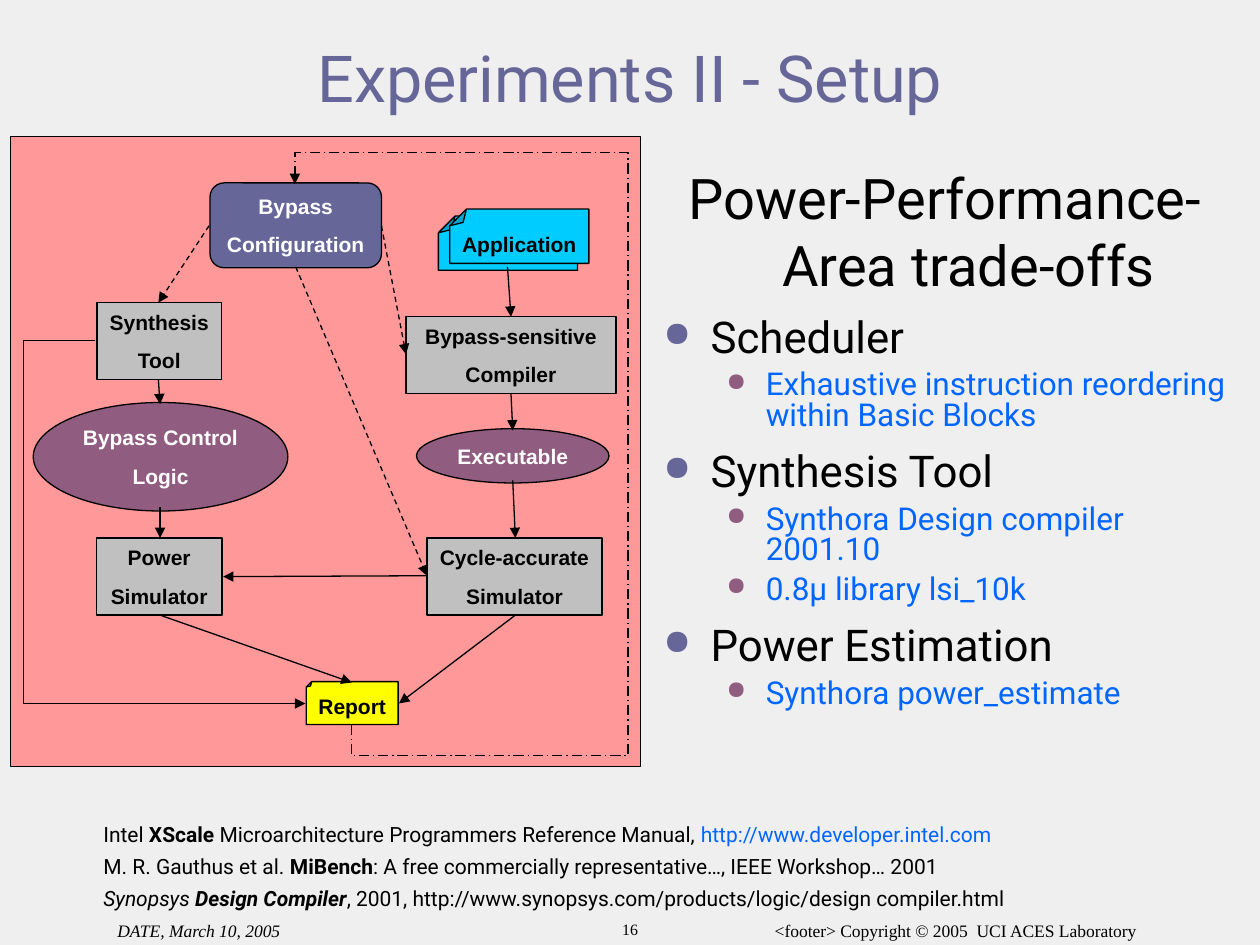
from lxml import etree
from pptx import Presentation
from pptx.dml.color import RGBColor
from pptx.enum.dml import MSO_LINE
from pptx.enum.shapes import MSO_CONNECTOR, MSO_SHAPE
from pptx.enum.text import MSO_ANCHOR, PP_ALIGN
from pptx.oxml.ns import qn
from pptx.util import Pt

RECT, ROUND, OVAL, NOTE = (MSO_SHAPE.RECTANGLE, MSO_SHAPE.ROUNDED_RECTANGLE,
                           MSO_SHAPE.OVAL, MSO_SHAPE.FOLDED_CORNER)
STRAIGHT, ELBOW = MSO_CONNECTOR.STRAIGHT, MSO_CONNECTOR.ELBOW
DASH, DASH_DOT = MSO_LINE.DASH, MSO_LINE.LONG_DASH_DOT
LEFT, CENTER, MIDDLE = PP_ALIGN.LEFT, PP_ALIGN.CENTER, MSO_ANCHOR.MIDDLE

C = {"bg": "EFEFEF", "black": "000000", "white": "FFFFFF", "slate": "666699",
     "blue": "0066FF", "plum": "905C80", "pink": "FF9999", "gray": "C0C0C0",
     "cyan": "00CCFF", "yellow": "FFFF00"}
C = {name: RGBColor.from_string(value) for name, value in C.items()}


def write(tf, text, size=12, font="Roboto", color="black", bold=False, italic=False,
          align=LEFT, before=0, spacing=None, margin=0, hang=0, level=0, bullet=None):
    """Add a paragraph; text is a string or a list of (string, format) runs."""
    p = tf.paragraphs[0]
    if p.runs:
        p = tf.add_paragraph()
        p.space_before = Pt(before)
    p.alignment, p.level = align, level
    if spacing:
        p.line_spacing = spacing
    pPr = p._p.get_or_add_pPr()
    pPr.set("marL", str(Pt(margin)))
    pPr.set("indent", str(-Pt(hang)))
    if bullet:
        clr = etree.SubElement(pPr, qn("a:buClr"))
        etree.SubElement(clr, qn("a:srgbClr"), val=str(C[bullet]))
        etree.SubElement(pPr, qn("a:buSzPct"), val="80000")
        etree.SubElement(pPr, qn("a:buChar"), char="●")
    for part, fmt in [(text, {})] if isinstance(text, str) else text:
        r = p.add_run()
        r.text = part
        r.font.size, r.font.name = Pt(size), font
        r.font.bold, r.font.italic = fmt.get("bold", bold), fmt.get("italic", italic)
        r.font.color.rgb = C[fmt.get("color", color)]


def connect(x1, y1, x2, y2, kind=STRAIGHT, dash=None, adjust=()):
    """Draw an arrow and return it."""
    cx = s.shapes.add_connector(kind, Pt(x1), Pt(y1), Pt(x2), Pt(y2))
    cx.line.color.rgb, cx.line.width = C["black"], Pt(0.75)
    if dash:
        cx.line.dash_style = dash
    etree.SubElement(cx.line._get_or_add_ln(), qn("a:tailEnd"), type="triangle")
    spPr = cx._element.spPr
    etree.SubElement(spPr, qn("a:effectLst"))
    if adjust:
        geom = spPr.find(qn("a:prstGeom"))
        geom.set("prst", f"bentConnector{len(adjust) + 2}")
        guides = geom.find(qn("a:avLst"))
        for i, value in enumerate(adjust, 1):
            etree.SubElement(guides, qn("a:gd"), name=f"adj{i}", fmla=f"val {value}")
    return cx


prs = Presentation()
prs.slide_width, prs.slide_height = Pt(720), Pt(540)
s = prs.slides.add_slide(prs.slide_layouts[6])
s.background.fill.solid()
s.background.fill.fore_color.rgb = C["bg"]

# Text boxes
boxes = {"title": (36, 21.5, 648, 52), "references": (52, 468, 648, 61),
         "body": (372, 90, 336, 354), "footer": (414, 522, 264, 24),
         "date": (60, 522, 150, 19), "number": (270.5, 522, 179, 18)}
frames = {}
for name, box in boxes.items():
    tf = s.shapes.add_textbox(*map(Pt, box)).text_frame
    tf.word_wrap = True
    frames[name] = tf

# Title and footer line
frames["title"].vertical_anchor = MIDDLE
write(frames["title"], "Experiments II - Setup", size=37, color="slate",
      align=CENTER, spacing=0.85)
write(frames["footer"], "<footer> Copyright © 2005  UCI ACES Laboratory", size=10,
      font="Times New Roman", align=CENTER)
write(frames["date"], "DATE, March 10, 2005", size=10, font="Times New Roman", italic=True)
write(frames["number"], "16", size=9, font="Times New Roman", align=CENTER)

# References
references = [
    [("Intel ", {}), ("XScale", {"bold": True}),
     (" Microarchitecture Programmers Reference Manual, ", {}),
     ("http://www.developer.intel.com", {"color": "blue"})],
    [("M. R. Gauthus et al. ", {}), ("MiBench", {"bold": True}),
     (": A free commercially representative…, IEEE Workshop… 2001", {})],
    [("Synopsys ", {"italic": True}), ("Design Compiler", {"bold": True, "italic": True}),
     (", 2001, http://www.synopsys.com/products/logic/design compiler.html", {})],
]
for runs in references:
    write(frames["references"], runs, before=6, spacing=0.85, margin=27, hang=27)

# Body list
write(frames["body"], "Power-Performance-Area trade-offs", size=32, align=CENTER,
      margin=27, hang=27)
topics = {
    "Scheduler": ["Exhaustive instruction reordering within Basic Blocks"],
    "Synthesis Tool": ["Synthora Design compiler 2001.10", "0.8µ library lsi_10k"],
    "Power Estimation": ["Synthora power_estimate"],
}
for topic, details in topics.items():
    write(frames["body"], topic, size=25, before=12.5, spacing=0.8, margin=27, hang=27,
          bullet="slate")
    for detail in details:
        write(frames["body"], detail, size=18, color="blue", before=5.6, spacing=0.8,
              margin=58.5, hang=22.5, level=1, bullet="plum")

# Flow chart: shape, box, fill, text colour, lines, corner adjustment
nodes = [
    (RECT, (6, 78, 360, 360), "pink", "black", [], None),
    (ROUND, (120, 104.5, 98, 48.5), "slate", "white", ["Bypass", "Configuration"], 16700),
    (RECT, (55.5, 173, 71, 44), "gray", "black", ["Synthesis", "Tool"], None),
    (RECT, (232, 181, 120, 44), "gray", "black", ["Bypass-sensitive", "Compiler"], None),
    (OVAL, (238, 245, 110, 31), "plum", "white", ["Executable"], None),
    (RECT, (244, 307.5, 100, 44), "gray", "black", ["Cycle-accurate", "Simulator"], None),
    (RECT, (55, 307.5, 72, 44), "gray", "black", ["Power", "Simulator"], None),
    (OVAL, (19, 230, 145.5, 62), "plum", "white", ["Bypass Control", "Logic"], None),
    (NOTE, (250.5, 123.5, 79.5, 31), "cyan", "black", ["Application"], 30700),
    (NOTE, (257, 119.5, 79.5, 31), "cyan", "black", ["Application"], 30700),
    (NOTE, (175, 389.5, 52.5, 24.5), "yellow", "black", ["Report"], 12500),
]
for kind, box, fill, color, lines, adjust in nodes:
    sp = s.shapes.add_shape(kind, *map(Pt, box))
    sp.shadow.inherit = False
    sp.fill.solid()
    sp.fill.fore_color.rgb = C[fill]
    sp.line.color.rgb, sp.line.width = C["black"], Pt(0.75)
    if adjust:
        guides = sp._element.spPr.find(qn("a:prstGeom")).get_or_add_avLst()
        for guide in list(guides):
            guides.remove(guide)
        etree.SubElement(guides, qn("a:gd"), name="adj", fmla=f"val {adjust}")
    tf = sp.text_frame
    tf.word_wrap, tf.vertical_anchor = False, MIDDLE
    if kind == NOTE:  # fold at top left, text kept upright
        sp.rotation = 180
        tf._txBody.bodyPr.set("rot", "10800000")
    for line in lines:
        write(tf, line, font="Arial", color=color, bold=True, align=CENTER, before=7.5)

# Straight arrows
solid = [(290, 152.5, 292, 181), (292, 225, 293, 246), (293, 274.5, 294.5, 307.5),
         (294.5, 351.5, 228, 402), (91.5, 290, 91.5, 307.5), (91.5, 351.5, 201, 390),
         (90.5, 217, 91.5, 231), (244, 329, 127.5, 329.5)]
dashed = [(119.5, 129, 90.5, 173), (218, 129, 232, 202.5), (169, 152.5, 244, 329)]
for ends in solid:
    connect(*ends)
for ends in dashed:
    connect(*ends, dash=DASH)

# Bent arrows: synthesis tool to report, report back to configuration
connect(54.5, 194.5, 174.5, 402, kind=ELBOW, adjust=[-34400])
loop = connect(30.25, 275.75, 339, 243.5, kind=ELBOW, dash=DASH_DOT,
               adjust=[-5800, -490200, 105800])
loop._element.spPr.find(qn("a:xfrm")).set("rot", "16200000")

prs.save("out.pptx")
